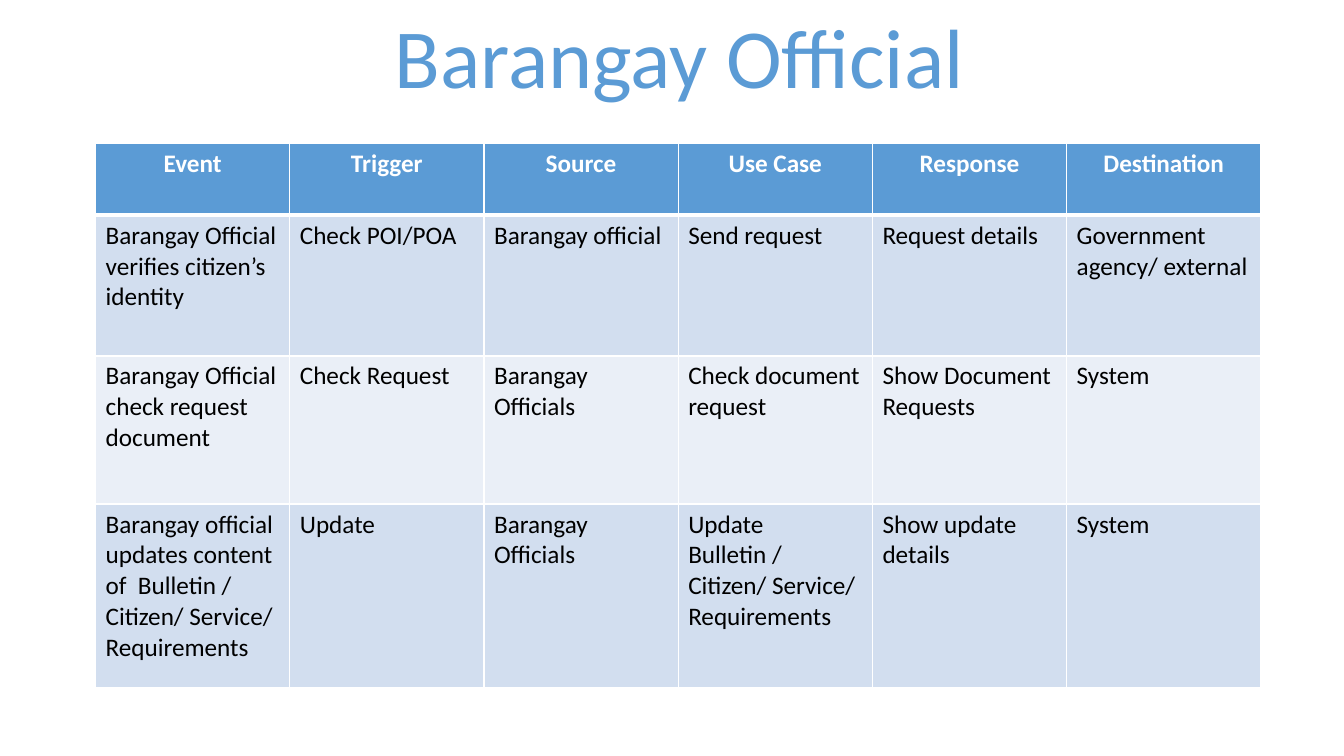
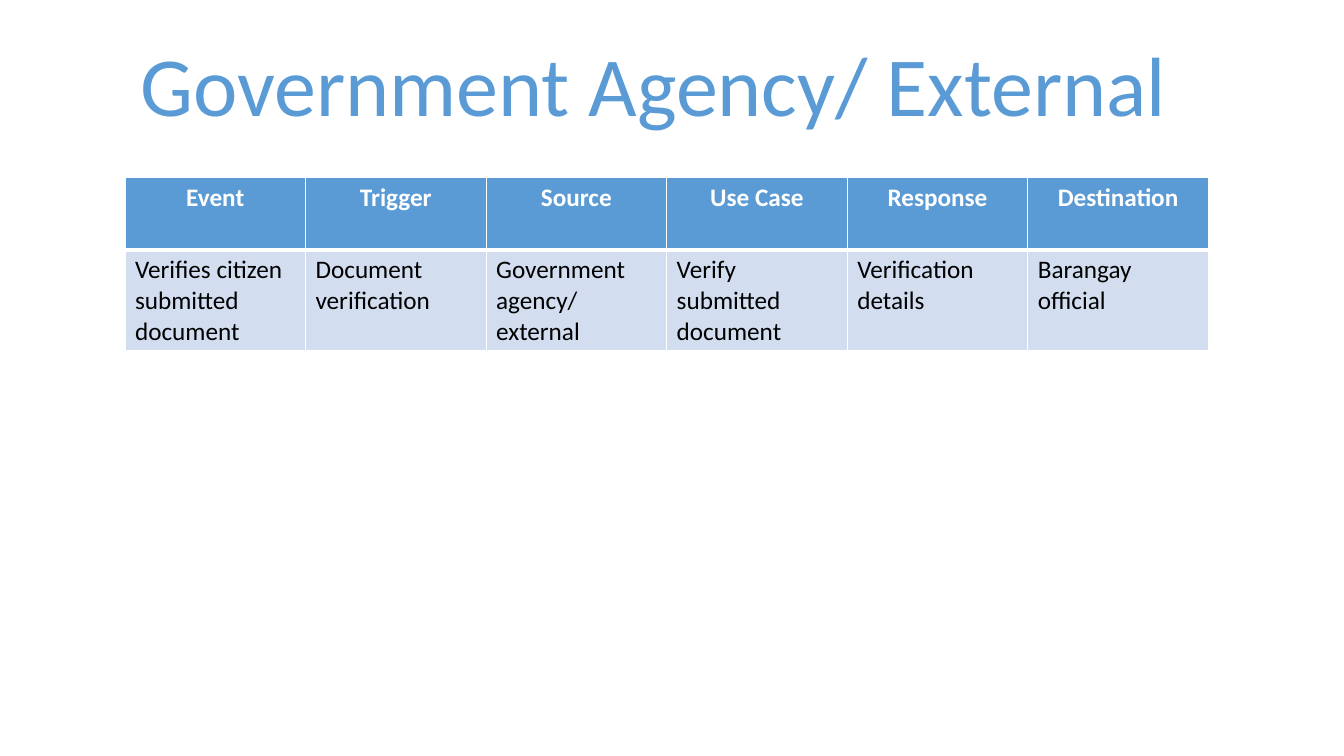
import dataclasses
import typing

import lxml.etree
import pptx
import pptx.dml.color
import pptx.enum.text
import pptx.oxml.ns
import pptx.slide
import pptx.table
import pptx.text.text
import pptx.util

EMU_PER_PX = 9525
SLIDE_WIDTH, SLIDE_HEIGHT = 1280, 720
HEADINGS = ("Event", "Trigger", "Source", "Use Case", "Response", "Destination")


@dataclasses.dataclass(frozen=True)
class Theme:
    font: str = "Calibri"
    accent: str = "5B9BD5"
    bands: tuple[str, str] = ("D2DEEF", "EAEFF7")
    white: str = "FFFFFF"
    black: str = "000000"
    title_size: int = 60
    table_size: int = 18
    border: int = 1
    header_border: int = 3


@dataclasses.dataclass(frozen=True)
class Box:
    left: int
    top: int
    width: int
    height: int


@dataclasses.dataclass(frozen=True)
class EventTable:
    left: int
    top: int
    column_width: int
    row_heights: tuple[int, ...]
    rows: tuple[tuple[str, ...], ...]


@dataclasses.dataclass(frozen=True)
class EventSlide:
    title: str
    title_box: Box
    table: EventTable


THEME = Theme()

EVENT_SLIDES = (
    EventSlide(
        "Barangay Official",
        Box(363, 0, 568, 107),
        EventTable(91, 137, 185, (68, 134, 141, 175), (
            ("Barangay Official verifies citizen’s identity", "Check POI/POA",
             "Barangay official", "Send request", "Request details",
             "Government agency/ external"),
            ("Barangay Official check request document", "Check Request",
             "Barangay Officials", "Check document request",
             "Show Document Requests", "System"),
            ("Barangay official updates content of  Bulletin / Citizen/ Service/\nRequirements",
             "Update", "Barangay Officials",
             "Update Bulletin / Citizen/ Service/\nRequirements",
             "Show update details", "System"),
        )),
    ),
    EventSlide(
        "Government Agency/ External",
        Box(119, 26, 1007, 107),
        EventTable(119, 169, 172, (69, 96), (
            ("Verifies citizen submitted document", "Document verification",
             "Government agency/ external", "Verify submitted document",
             "Verification details", "Barangay official"),
        )),
    ),
)


def px(length: int) -> pptx.util.Emu:
    return pptx.util.Emu(length * EMU_PER_PX)


def rgb(color: str) -> pptx.dml.color.RGBColor:
    return pptx.dml.color.RGBColor.from_string(color)


def apply_format(target: typing.Any, values: dict[str, typing.Any]) -> None:
    for name, value in values.items():
        setattr(target, name, value)


def format_text(frame: pptx.text.text.TextFrame, size: int, color: str,
                bold: bool, centered: bool) -> None:
    alignment = pptx.enum.text.PP_ALIGN.CENTER if centered else pptx.enum.text.PP_ALIGN.LEFT
    values = {"name": THEME.font, "size": pptx.util.Pt(size), "bold": bold}
    for paragraph in frame.paragraphs:
        paragraph.alignment = alignment
        for run in paragraph.runs:
            apply_format(run.font, values)
            run.font.color.rgb = rgb(color)


def set_borders(cell: pptx.table._Cell, top: int, bottom: int) -> None:
    qualified = pptx.oxml.ns.qn
    properties = cell._tc.get_or_add_tcPr()
    widths = {"lnL": THEME.border, "lnR": THEME.border, "lnT": top, "lnB": bottom}
    for position, (side, width) in enumerate(widths.items()):
        line = lxml.etree.SubElement(properties, qualified(f"a:{side}"), w=str(pptx.util.Pt(width)))
        fill = lxml.etree.SubElement(line, qualified("a:solidFill"))
        lxml.etree.SubElement(fill, qualified("a:srgbClr"), val=THEME.white)
        properties.insert(position, line)


def draw_cell(cell: pptx.table._Cell, text: str, row: int) -> None:
    is_header = row == 0
    cell.text_frame.text = text
    format_text(cell.text_frame, THEME.table_size,
                THEME.white if is_header else THEME.black, is_header, is_header)
    cell.fill.solid()
    cell.fill.fore_color.rgb = rgb(THEME.accent if is_header else THEME.bands[(row - 1) % 2])
    set_borders(cell,
                top=THEME.header_border if row == 1 else THEME.border,
                bottom=THEME.header_border if is_header else THEME.border)


def draw_table(slide: pptx.slide.Slide, event_table: EventTable) -> None:
    rows = (HEADINGS, *event_table.rows)
    table = slide.shapes.add_table(
        len(rows), len(HEADINGS), px(event_table.left), px(event_table.top),
        px(event_table.column_width * len(HEADINGS)), px(sum(event_table.row_heights)),
    ).table
    for column in table.columns:
        column.width = px(event_table.column_width)
    for row, (texts, height) in enumerate(zip(rows, event_table.row_heights)):
        table.rows[row].height = px(height)
        for column, text in enumerate(texts):
            draw_cell(table.cell(row, column), text, row)


def draw_title(slide: pptx.slide.Slide, title: str, box: Box) -> None:
    shape = slide.shapes.add_textbox(px(box.left), px(box.top), px(box.width), px(box.height))
    frame = shape.text_frame
    apply_format(frame, {
        "text": title,
        "word_wrap": False,
        "auto_size": pptx.enum.text.MSO_AUTO_SIZE.SHAPE_TO_FIT_TEXT,
    })
    format_text(frame, THEME.title_size, THEME.accent, bold=False, centered=True)


def main() -> None:
    presentation = pptx.Presentation()
    apply_format(presentation, {"slide_width": px(SLIDE_WIDTH), "slide_height": px(SLIDE_HEIGHT)})
    for event_slide in EVENT_SLIDES:
        slide = presentation.slides.add_slide(presentation.slide_layouts[6])
        draw_table(slide, event_slide.table)
        draw_title(slide, event_slide.title, event_slide.title_box)
    presentation.save("out.pptx")


if __name__ == "__main__":
    main()
